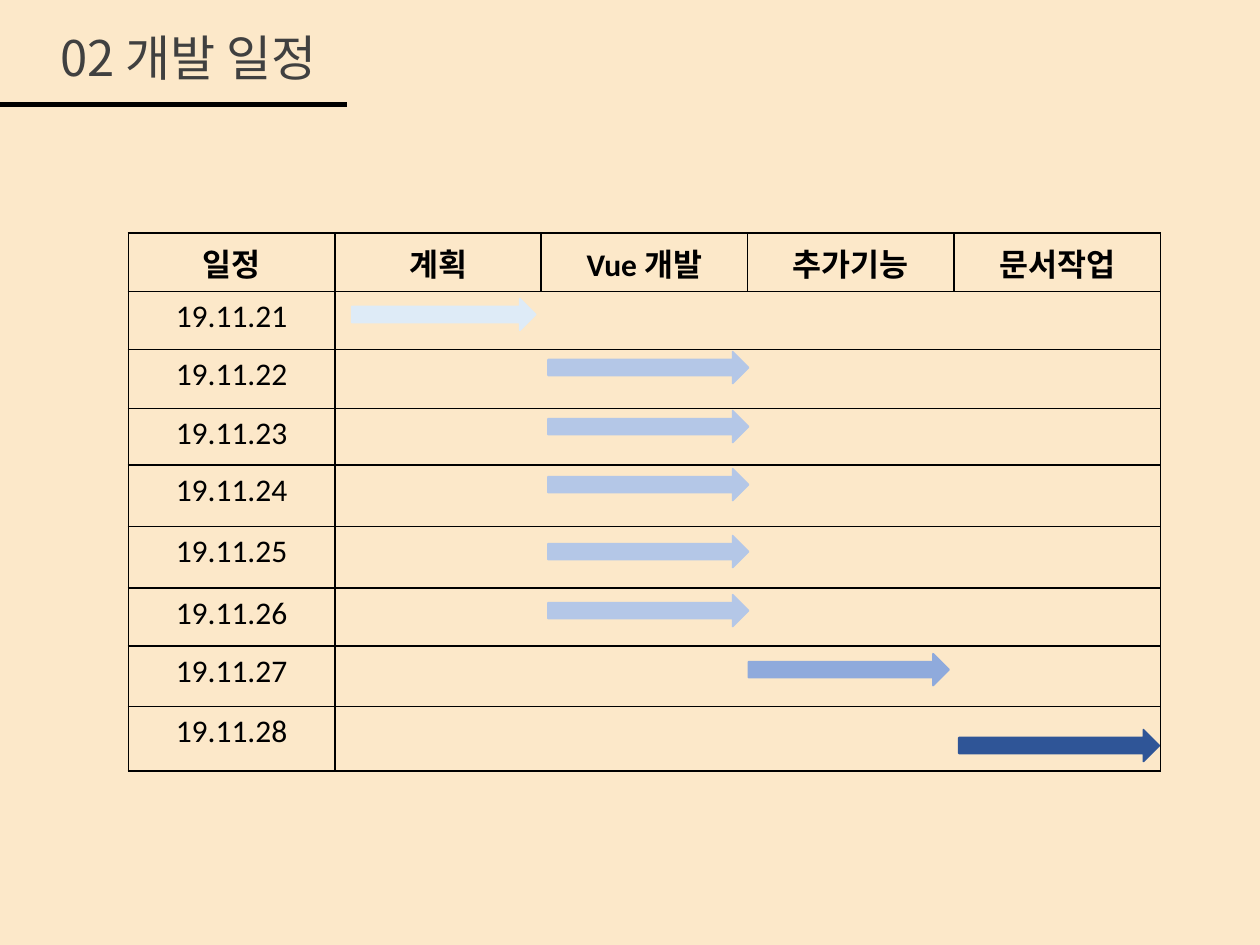
from dataclasses import dataclass

from lxml.etree import SubElement
from pptx import Presentation
from pptx.dml.color import RGBColor
from pptx.enum.shapes import MSO_CONNECTOR, MSO_SHAPE
from pptx.enum.text import MSO_ANCHOR, PP_ALIGN
from pptx.oxml.ns import qn
from pptx.util import Cm, Pt


@dataclass(frozen=True)
class Theme:
    paper: str = "FCE8C9"
    ink: str = "000000"
    title: str = "404040"
    plan: str = "DEEBF7"
    build: str = "B4C7E7"
    extra: str = "8FAADC"
    docs: str = "2F5597"
    latin: str = "Calibri"
    hangul: str = "Noto Sans CJK KR"
    head_size: int = 28
    cell_size: int = 18
    rule: int = 3
    border: int = 1


@dataclass(frozen=True)
class Task:
    left: float
    top: float
    color: str
    width: float = 4.04


THEME = Theme()
HEADS = ["일정", "계획", "Vue 개발", "추가기능", "문서작업"]
FIRST_DAY = 21
COL = 4.16
ROWS = [1.07, 1.17, 1.19, 1.14, 1.24, 1.24, 1.17, 1.22, 1.3]
TASKS = [
    Task(7.09, 6.02, THEME.plan, 3.71),
    *(Task(11.05, top, THEME.build) for top in (7.09, 8.28, 9.45, 10.8, 11.99)),
    Task(15.09, 13.18, THEME.extra),
    Task(19.33, 14.71, THEME.docs),
]


def rgb(code: str) -> RGBColor:
    return RGBColor.from_string(code)


def write(frame, text: str, *, size: int, color: str = THEME.ink,
          font: str = THEME.latin, bold: bool = False,
          align=PP_ALIGN.CENTER) -> None:
    para = frame.paragraphs[0]
    para.alignment = align
    run = para.add_run()
    run.text = text
    run.font.name = font
    run.font.size = Pt(size)
    run.font.bold = bold
    run.font.color.rgb = rgb(color)
    SubElement(run.font._element, qn("a:ea"), typeface=THEME.hangul)


def edge(cell, sides: str) -> None:
    """Draw the named sides (L, R, T, B) and leave the others bare."""
    props = cell._tc.get_or_add_tcPr()
    for side in "LRTB":
        line = SubElement(props, qn(f"a:ln{side}"), w=str(Pt(THEME.border)))
        if side in sides:
            fill = SubElement(line, qn("a:solidFill"))
            SubElement(fill, qn("a:srgbClr"), val=THEME.ink)
        else:
            SubElement(line, qn("a:noFill"))


def add_title(slide) -> None:
    box = slide.shapes.add_textbox(Cm(-4.42), Cm(0.43), Cm(11.05), Cm(1.45))
    box.text_frame.word_wrap = True
    write(box.text_frame, "02 개발 일정", size=THEME.head_size,
          color=THEME.title, font=THEME.hangul, align=PP_ALIGN.RIGHT)
    rule = slide.shapes.add_connector(
        MSO_CONNECTOR.STRAIGHT, 0, Cm(2.11), Cm(6.99), Cm(2.11))
    rule.line.color.rgb = rgb(THEME.ink)
    rule.line.width = Pt(THEME.rule)
    SubElement(rule._element.spPr, qn("a:effectLst"))


def add_grid(slide) -> None:
    last = len(HEADS) - 1
    grid = slide.shapes.add_table(
        len(ROWS), len(HEADS), Cm(2.59), Cm(4.7),
        Cm(COL * len(HEADS)), Cm(sum(ROWS))).table
    grid.first_row = grid.horz_banding = False
    for col in grid.columns:
        col.width = Cm(COL)
    for r, height in enumerate(ROWS):
        grid.rows[r].height = Cm(height)
        for c, head in enumerate(HEADS):
            cell = grid.cell(r, c)
            sides = "TB"
            if r == 0 or c <= 1:
                sides += "L"
            if r == 0 or c in (0, last):
                sides += "R"
            edge(cell, sides)
            cell.fill.solid()
            cell.fill.fore_color.rgb = rgb(THEME.paper)
            cell.vertical_anchor = MSO_ANCHOR.TOP
            if r == 0:
                write(cell.text_frame, head, size=THEME.cell_size, bold=True)
            elif c == 0:
                write(cell.text_frame, f"19.11.{FIRST_DAY + r - 1}",
                      size=THEME.cell_size)


def add_arrow(slide, task: Task) -> None:
    arrow = slide.shapes.add_shape(
        MSO_SHAPE.RIGHT_ARROW, Cm(task.left), Cm(task.top),
        Cm(task.width), Cm(0.64))
    arrow.shadow.inherit = False
    arrow.fill.solid()
    arrow.fill.fore_color.rgb = rgb(task.color)
    arrow.line.color.rgb = rgb(task.color)
    arrow.line.width = Pt(THEME.border)


def main() -> None:
    deck = Presentation()
    deck.slide_width, deck.slide_height = Cm(25.4), Cm(19.05)
    slide = deck.slides.add_slide(deck.slide_layouts[6])
    slide.background.fill.solid()
    slide.background.fill.fore_color.rgb = rgb(THEME.paper)
    add_grid(slide)
    add_title(slide)
    for task in TASKS:
        add_arrow(slide, task)
    deck.save("out.pptx")


if __name__ == "__main__":
    main()
